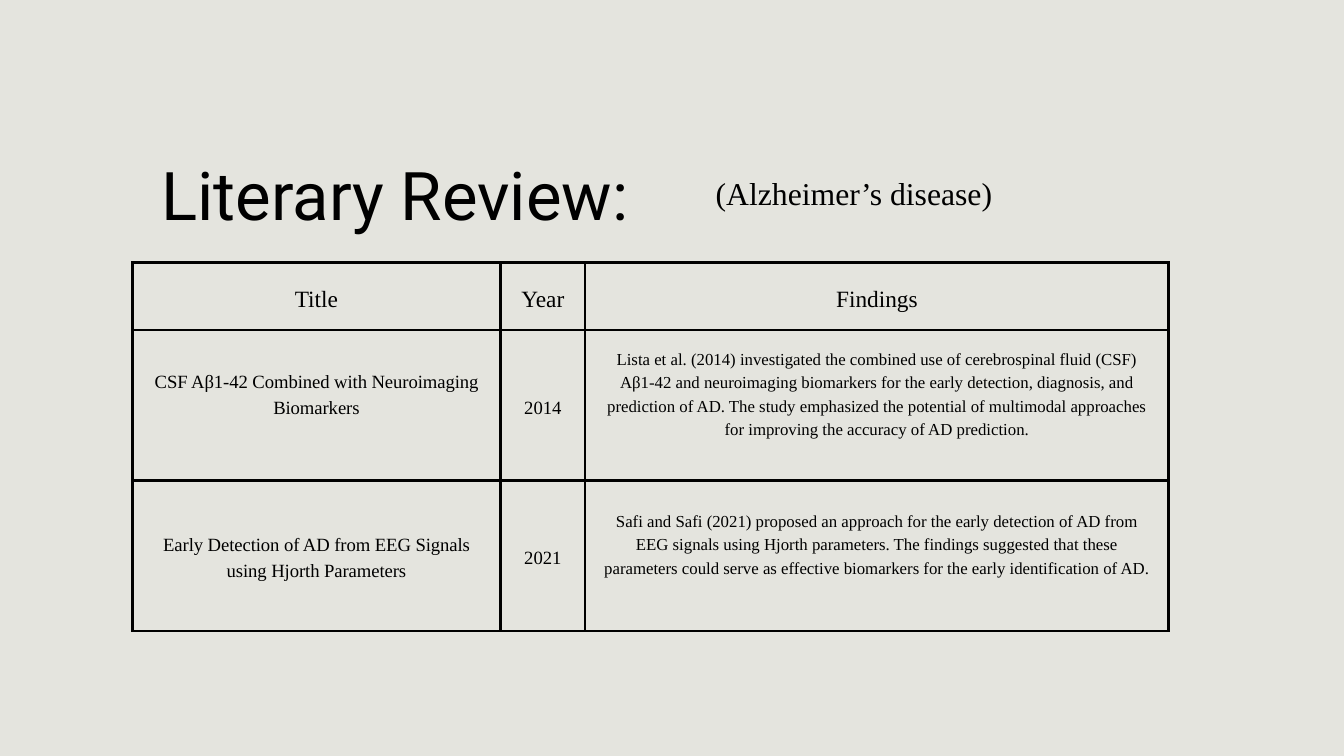
import dataclasses

import pptx
import pptx.dml.color
import pptx.enum.text
import pptx.oxml.ns
import pptx.util
from lxml import etree

Cm, Pt = pptx.util.Cm, pptx.util.Pt
Anchor = pptx.enum.text.MSO_ANCHOR
Align = pptx.enum.text.PP_ALIGN


@dataclasses.dataclass(frozen=True)
class Theme:
    background: str = "E4E4DE"
    ink: str = "000000"
    heading_font: str = "Roboto"
    body_font: str = "Times New Roman"
    heading_size: float = 71.9
    topic_size: float = 34
    header_size: float = 25
    entry_size: float = 20
    findings_size: float = 18
    line_ratio: float = 1.4
    border: float = 3
    cell_margin: float = 0.53
    lifted_margin: float = 1.5


class SlideBuilder:
    def __init__(self, slide, theme):
        self.slide = slide
        self.theme = theme
        fill = slide.background.fill
        fill.solid()
        fill.fore_color.rgb = self.color(theme.background)

    def color(self, value):
        return pptx.dml.color.RGBColor.from_string(value)

    def set_text(self, frame, text, size, font, tracking=0):
        paragraph = frame.paragraphs[0]
        paragraph.alignment = Align.CENTER
        paragraph.line_spacing = Pt(round(size * self.theme.line_ratio, 1))
        run = paragraph.add_run()
        run.text = text
        if tracking:
            run.font._element.set("spc", str(tracking))
        paragraph.font.size = Pt(size)
        paragraph.font.name = font
        paragraph.font.color.rgb = self.color(self.theme.ink)

    def text(self, left, top, width, height, text, size, font):
        box = self.slide.shapes.add_textbox(Cm(left), Cm(top), Cm(width), Cm(height))
        frame = box.text_frame
        frame.word_wrap = True
        frame.auto_size = pptx.enum.text.MSO_AUTO_SIZE.SHAPE_TO_FIT_TEXT
        frame.margin_left = frame.margin_right = 0
        frame.margin_top = frame.margin_bottom = 0
        self.set_text(frame, text, size, font)

    def table(self, left, top, widths, heights):
        table = self.slide.shapes.add_table(
            len(heights), len(widths), Cm(left), Cm(top),
            Cm(sum(widths)), Cm(sum(heights))).table
        table.first_row = table.horz_banding = False
        for column, width in zip(table.columns, widths):
            column.width = Cm(width)
        for row, height in zip(table.rows, heights):
            row.height = Cm(height)
        return table

    def cell(self, cell, text, size, tracking=0, lifted=False):
        theme = self.theme
        cell.vertical_anchor = Anchor.MIDDLE
        cell.margin_left = cell.margin_right = cell.margin_top = Cm(theme.cell_margin)
        cell.margin_bottom = Cm(theme.lifted_margin if lifted else theme.cell_margin)
        self.borders(cell)
        cell.fill.background()
        self.set_text(cell.text_frame, text, size, theme.body_font, tracking)

    def borders(self, cell):
        qn = pptx.oxml.ns.qn
        properties = cell._tc.get_or_add_tcPr()
        for side in ("a:lnL", "a:lnR", "a:lnT", "a:lnB"):
            line = etree.SubElement(properties, qn(side), w=str(Pt(self.theme.border)))
            fill = etree.SubElement(line, qn("a:solidFill"))
            etree.SubElement(fill, qn("a:srgbClr"), val=self.theme.ink)


HEADERS = ("Title", "Year", "Findings")

# Title, year, findings, and whether title and findings sit above the middle
STUDIES = (
    ("CSF Aβ1-42 Combined with Neuroimaging Biomarkers", "2014",
     "Lista et al. (2014) investigated the combined use of cerebrospinal fluid (CSF) "
     "Aβ1-42 and neuroimaging biomarkers for the early detection, diagnosis, and "
     "prediction of AD. The study emphasized the potential of multimodal approaches "
     "for improving the accuracy of AD prediction.", True, True),
    ("Early Detection of AD from EEG Signals using Hjorth Parameters", "2021",
     "Safi and Safi (2021) proposed an approach for the early detection of AD from "
     "EEG signals using Hjorth parameters. The findings suggested that these "
     "parameters could serve as effective biomarkers for the early identification "
     "of AD.", False, True),
)


def main():
    theme = Theme()
    deck = pptx.Presentation()
    deck.slide_width, deck.slide_height = Cm(50.8), Cm(28.58)
    builder = SlideBuilder(deck.slides.add_slide(deck.slide_layouts[6]), theme)

    # Table of studies
    review = builder.table(5, 9.93, (13.92, 3.2, 22.05), (2.54, 5.69, 5.69))
    for column, header in enumerate(HEADERS):
        builder.cell(review.cell(0, column), header, theme.header_size)
    for row, study in enumerate(STUDIES, start=1):
        title, year, findings, title_lifted, findings_lifted = study
        builder.cell(review.cell(row, 0), title, theme.entry_size, -10, title_lifted)
        builder.cell(review.cell(row, 1), year, theme.entry_size)
        builder.cell(review.cell(row, 2), findings, theme.findings_size,
                     lifted=findings_lifted)

    # Heading and topic
    builder.text(2.84, 5.31, 24.18, 3.61, "Literary Review:",
                 theme.heading_size, theme.heading_font)
    builder.text(27.05, 6.32, 10.46, 1.8, "(Alzheimer’s disease)",
                 theme.topic_size, theme.body_font)

    deck.save("out.pptx")


if __name__ == "__main__":
    main()
